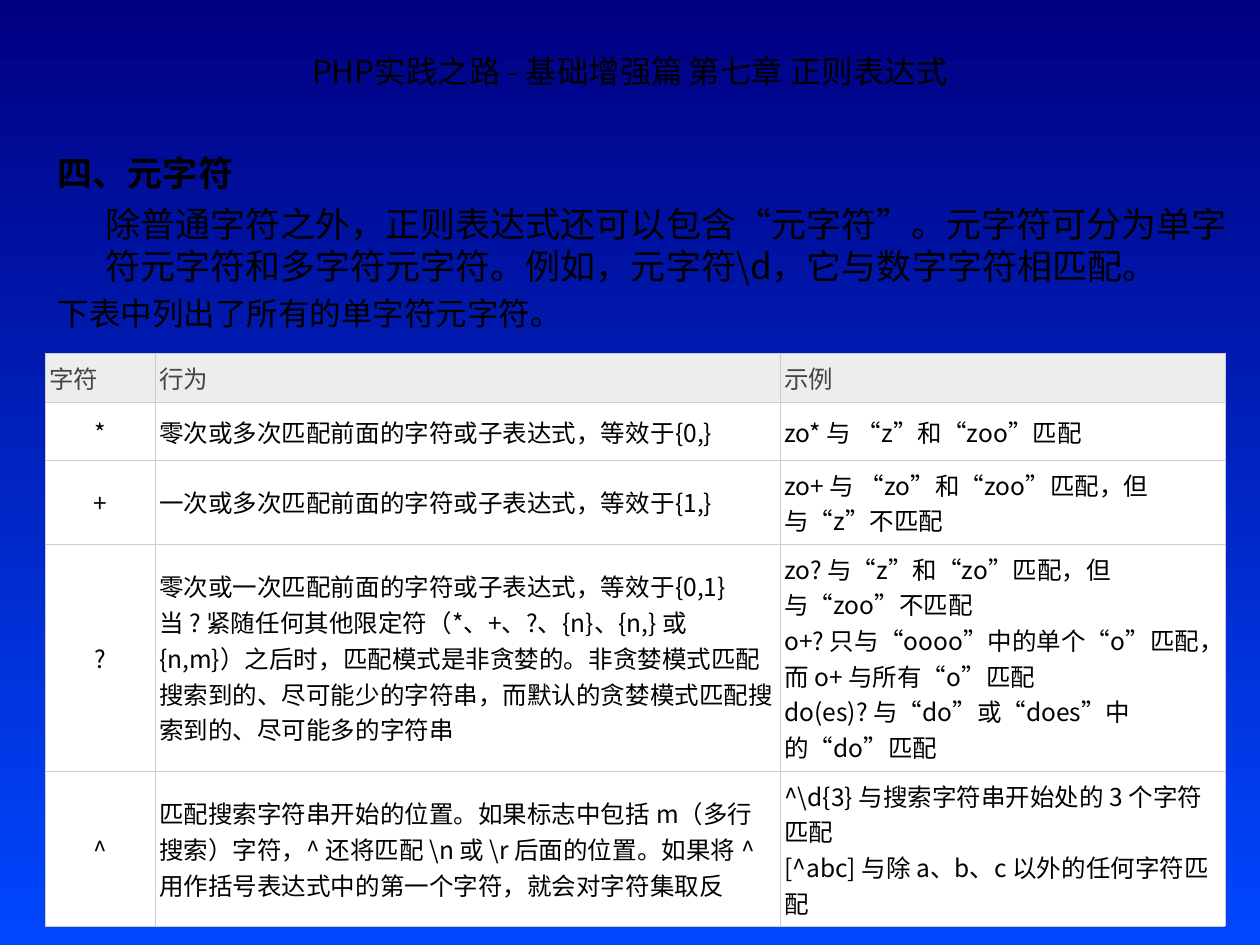
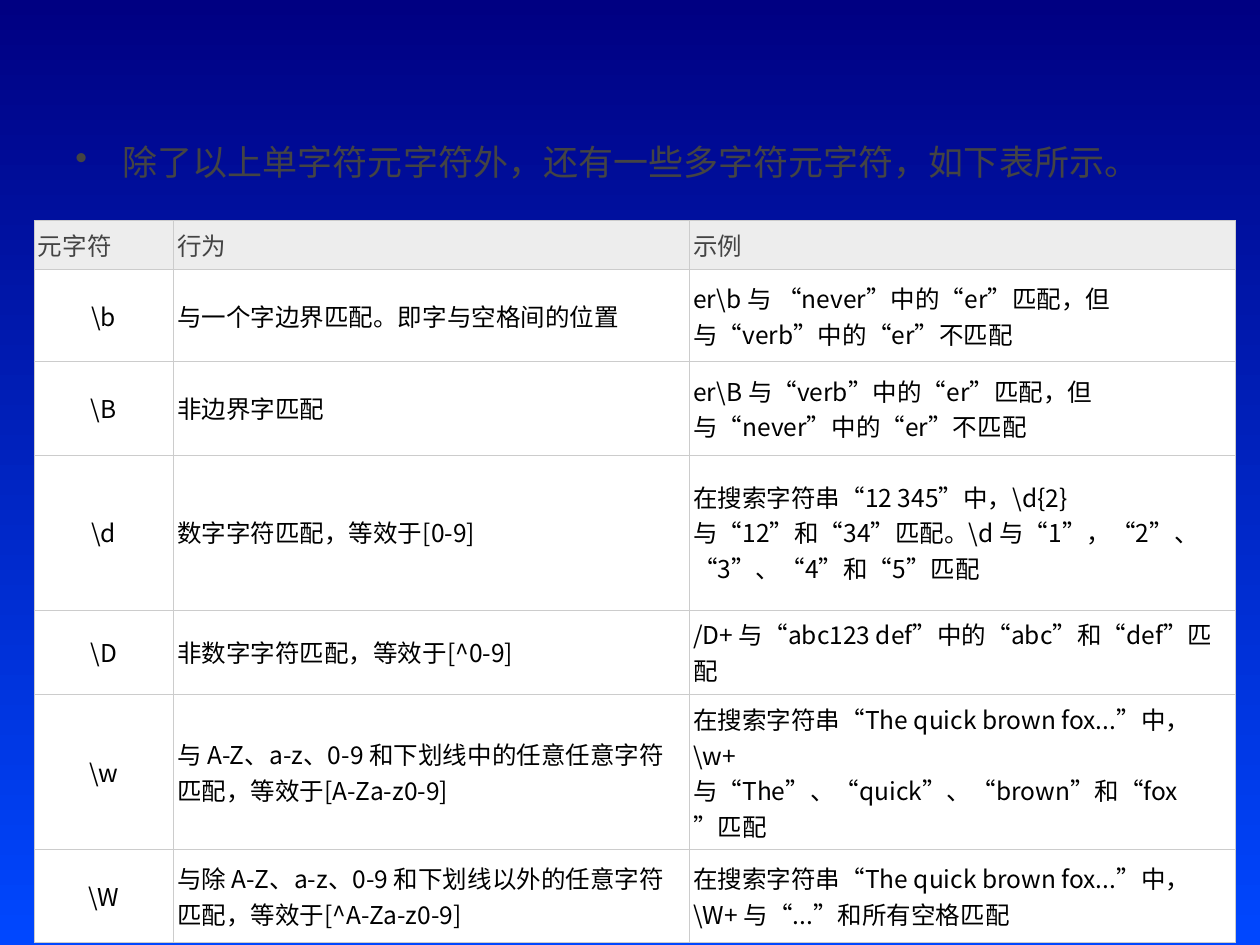
from lxml.etree import SubElement
from pptx import Presentation
from pptx.dml.color import RGBColor
from pptx.enum.text import MSO_ANCHOR, PP_ALIGN
from pptx.oxml.ns import qn
from pptx.util import Pt

COLORS = {
    "sky top": "000082",
    "sky bottom": "0047FF",
    "text": "000000",
    "muted": "444444",
    "header": "EDEDED",
    "body": "FFFFFF",
    "border": "CCCCCC",
}
CJK_FONT = "Noto Sans CJK SC"
HANGING = Pt(27)

TITLE_RUNS = [("PHP实践之路 - 基础增强篇", 18), (" ", 14), ("第七章 正则表达式", 18)]

# text, size, bold, left margin, space before
INTRODUCTION = [
    ("四、元字符", 20, True, 0, 0),
    ("除普通字符之外，正则表达式还可以包含“元字符”。元字符可分为单字符元字符和多字符元字符。"
     r"例如，元字符\d，它与数字字符相匹配。", 20, False, HANGING, 5),
    ("下表中列出了所有的单字符元字符。", 18, False, 0, 4.5),
]

SINGLE_CHARACTERS = [
    ("字符", "行为", "示例"),
    ("*", "零次或多次匹配前面的字符或子表达式，等效于{0,}", "zo* 与 “z”和“zoo”匹配"),
    ("+", "一次或多次匹配前面的字符或子表达式，等效于{1,}",
     "zo+ 与 “zo”和“zoo”匹配，但与“z”不匹配"),
    ("?",
     "零次或一次匹配前面的字符或子表达式，等效于{0,1}\n"
     "当 ? 紧随任何其他限定符（*、+、?、{n}、{n,} 或 {n,m}）之后时，匹配模式是非贪婪的。"
     "非贪婪模式匹配搜索到的、尽可能少的字符串，而默认的贪婪模式匹配搜索到的、尽可能多的字符串",
     "zo? 与“z”和“zo”匹配，但与“zoo”不匹配\n"
     "o+? 只与“oooo”中的单个“o”匹配，而 o+ 与所有“o”匹配\n"
     "do(es)? 与“do”或“does”中的“do”匹配"),
    ("^",
     r"匹配搜索字符串开始的位置。如果标志中包括 m（多行搜索）字符，^ 还将匹配 \n 或 \r 后面的位置。"
     "如果将 ^ 用作括号表达式中的第一个字符，就会对字符集取反",
     "^\\d{3} 与搜索字符串开始处的 3 个字符匹配\n[^abc] 与除 a、b、c 以外的任何字符匹配"),
]

MULTIPLE_CHARACTERS = [
    ("元字符", "行为", "示例"),
    (r"\b", "与一个字边界匹配。即字与空格间的位置",
     r"er\b 与 “never”中的“er”匹配，但与“verb”中的“er”不匹配"),
    (r"\B", "非边界字匹配", r"er\B 与“verb”中的“er”匹配，但与“never”中的“er”不匹配"),
    (r"\d", "数字字符匹配，等效于[0-9]",
     r"在搜索字符串“12 345”中，\d{2} 与“12”和“34”匹配。\d 与“1”，“2”、“3”、“4”和“5”匹配"),
    (r"\D", "非数字字符匹配，等效于[^0-9]", "/D+ 与“abc123 def”中的“abc”和“def”匹配"),
    (r"\w", "与 A-Z、a-z、0-9 和下划线中的任意任意字符匹配，等效于[A-Za-z0-9]",
     "在搜索字符串“The quick brown fox...”中，\\w+\n与“The”、“quick”、“brown”和“fox\n”匹配"),
    (r"\W", "与除 A-Z、a-z、0-9 和下划线以外的任意字符匹配，等效于[^A-Za-z0-9]",
     r"在搜索字符串“The quick brown fox...”中，\W+ 与“...”和所有空格匹配"),
]


def set_font(paragraph, size, color, name=CJK_FONT, bold=False):
    """Style a paragraph, with the CJK font for its East Asian characters."""
    font = paragraph.font
    font.size, font.bold, font.name = Pt(size), bold, name
    font.color.rgb = RGBColor.from_string(COLORS[color])
    properties = paragraph._p.pPr.find(qn("a:defRPr"))
    SubElement(properties, qn("a:ea"), typeface=CJK_FONT)


def add_character_table(slide, left, top, widths, heights, rows):
    frame = slide.shapes.add_table(len(rows), len(widths), Pt(left), Pt(top),
                                   Pt(sum(widths)), Pt(sum(heights)))
    table = frame.table
    table.first_row = table.horz_banding = False
    for column, width in zip(table.columns, widths):
        column.width = Pt(width)
    for row, height in zip(table.rows, heights):
        row.height = Pt(height)
    for row_index, texts in enumerate(rows):
        is_header = row_index == 0
        for column_index, text in enumerate(texts):
            cell = table.cell(row_index, column_index)
            cell.margin_left = cell.margin_right = Pt(2.2)
            cell.margin_top = cell.margin_bottom = Pt(3.6)
            cell.vertical_anchor = MSO_ANCHOR.MIDDLE
            for side in ("lnL", "lnR", "lnT", "lnB"):
                line = SubElement(cell._tc.tcPr, qn(f"a:{side}"), w=str(Pt(0.28)))
                fill = SubElement(line, qn("a:solidFill"))
                SubElement(fill, qn("a:srgbClr"), val=COLORS["border"])
            cell.fill.solid()
            cell.fill.fore_color.rgb = RGBColor.from_string(
                COLORS["header" if is_header else "body"])
            paragraph = cell.text_frame.paragraphs[0]
            paragraph.text = text
            if column_index == 0 and not is_header:
                paragraph.alignment = PP_ALIGN.CENTER
            set_font(paragraph, 14, "muted" if is_header else "text")


presentation = Presentation()
presentation.slide_width, presentation.slide_height = Pt(720), Pt(540)
blank_layout = presentation.slide_layouts[6]
slides = [presentation.slides.add_slide(blank_layout) for _ in range(2)]
for slide in slides:
    background = slide.background.fill
    background.gradient()
    background.gradient_angle = 270
    for stop, color in zip(background.gradient_stops, ("sky top", "sky bottom")):
        stop.color.rgb = RGBColor.from_string(COLORS[color])
single_slide, multiple_slide = slides

# Slide 1: single-character metacharacters
title_frame = single_slide.shapes.add_textbox(0, Pt(26), Pt(720), Pt(29)).text_frame
title_frame.word_wrap = True
title_frame.vertical_anchor = MSO_ANCHOR.MIDDLE
title = title_frame.paragraphs[0]
title.alignment = PP_ALIGN.CENTER
set_font(title, 18, "text")
for text, size in TITLE_RUNS:
    run = title.add_run()
    run.text = text
    run.font.size = Pt(size)

introduction_frame = single_slide.shapes.add_textbox(
    Pt(26), Pt(83), Pt(692), Pt(402)).text_frame
introduction_frame.word_wrap = True
for index, (text, size, bold, margin, space) in enumerate(INTRODUCTION):
    paragraph = introduction_frame.add_paragraph() if index else introduction_frame.paragraphs[0]
    paragraph.text = text
    paragraph.space_before = Pt(space)
    paragraph._p.get_or_add_pPr().set("marL", str(margin))
    set_font(paragraph, size, "text", bold=bold)

add_character_table(single_slide, 25.9, 202, (62.9, 357.2, 254.2),
                    (28, 33, 48, 129.7, 88.6), SINGLE_CHARACTERS)

# Slide 2: multiple-character metacharacters
lead_frame = multiple_slide.shapes.add_textbox(Pt(36), Pt(77), Pt(648), Pt(420)).text_frame
lead_frame.word_wrap = True
lead = lead_frame.paragraphs[0]
lead.text = "除了以上单字符元字符外，还有一些多字符元字符，如下表所示。"
lead_properties = lead._p.get_or_add_pPr()
lead_properties.set("marL", str(HANGING))
lead_properties.set("indent", str(-HANGING))
bullet_color = SubElement(lead_properties, qn("a:buClr"))
SubElement(bullet_color, qn("a:srgbClr"), val=COLORS["muted"])
SubElement(lead_properties, qn("a:buChar"), char="•")
set_font(lead, 20, "muted", name="Roboto")

add_character_table(multiple_slide, 19.5, 126, (79.5, 295, 312),
                    (28, 52.7, 53.2, 88.6, 48.4, 88.6, 53.2), MULTIPLE_CHARACTERS)

presentation.save("out.pptx")
